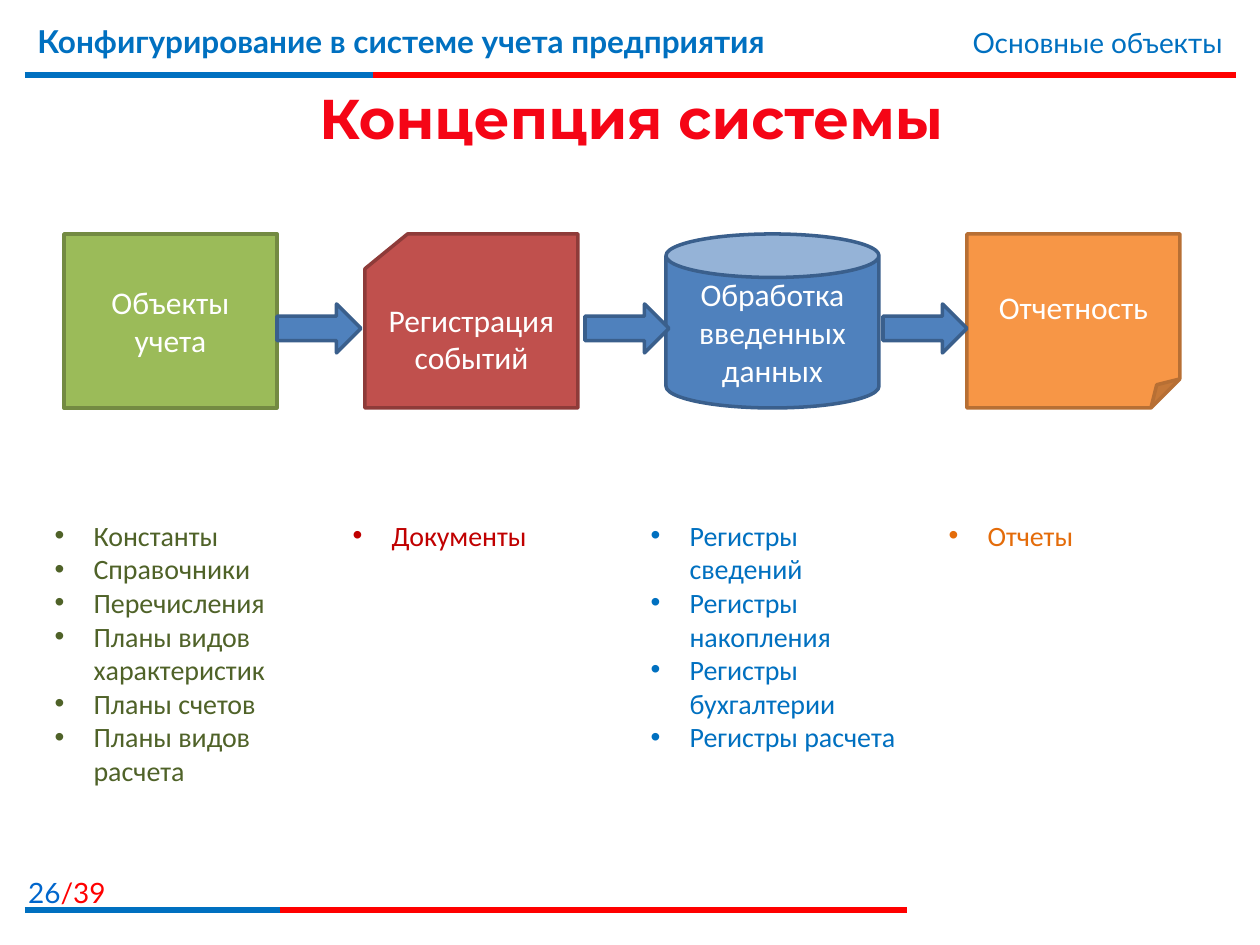
from lxml import etree
from pptx import Presentation, util as u
from pptx.dml.color import RGBColor
from pptx.enum import shapes, text
from pptx.oxml.ns import qn

COLORS = {
    "blue": "0070C0", "page": "0066CC", "red": "FF0000", "title": "F50516", "white": "FFFFFF",
    "green": "9BBB59", "green_edge": "738A42", "green_text": "4F6228",
    "brick": "C0504D", "brick_edge": "8E3B39", "brick_text": "C00000",
    "steel": "4F81BD", "steel_edge": "3A5F8C",
    "orange": "F79646", "orange_edge": "B76F34", "orange_text": "E46C0A",
}
STAGES = [
    ("Объекты учета", shapes.MSO_SHAPE.RECTANGLE, "green", "green_text",
     ["Константы", "Справочники", "Перечисления", "Планы видов характеристик",
      "Планы счетов", "Планы видов расчета"]),
    ("Регистрация событий", shapes.MSO_SHAPE.FLOWCHART_CARD, "brick", "brick_text",
     ["Документы"]),
    ("Обработка введенных данных", shapes.MSO_SHAPE.CAN, "steel", "blue",
     ["Регистры сведений", "Регистры накопления", "Регистры бухгалтерии",
      "Регистры расчета"]),
    ("Отчетность", shapes.MSO_SHAPE.FOLDED_CORNER, "orange", "orange_text", ["Отчеты"]),
]
PX_PER_INCH = 126
ALIGN = text.PP_ALIGN


def px(length):
    return u.Emu(round(length * 914400 / PX_PER_INCH))


def rgb(name):
    return RGBColor.from_string(COLORS[name])


class SlidePainter:
    """Draws styled elements on one slide, measured in px."""

    def __init__(self, slide):
        self.slide = slide
        self.body_font = "Calibri"
        self.header_font = "Lato"
        self.title_font = "Montserrat"

    def style(self, run, font, size, color, bold=False):
        run.font.name = font
        run.font.size = u.Pt(size)
        run.font.bold = bold
        run.font.color.rgb = rgb(color)

    def place(self, holder, box):
        holder.left, holder.top, holder.width, holder.height = map(px, box)
        holder.text_frame.auto_size = text.MSO_AUTO_SIZE.NONE
        holder.text_frame.word_wrap = True

    def title(self, wording, box):
        heading = self.slide.shapes.title
        self.place(heading, box)
        heading.text_frame.text = wording
        heading.text_frame.vertical_anchor = text.MSO_ANCHOR.MIDDLE
        paragraph = heading.text_frame.paragraphs[0]
        paragraph.alignment = ALIGN.CENTER
        self.style(paragraph.runs[0], self.title_font, 32, "title", True)

    def bullets(self, holder, items, box, color):
        self.place(holder, box)
        frame = holder.text_frame
        frame.vertical_anchor = text.MSO_ANCHOR.TOP
        frame.text = "\n".join(items)
        for paragraph in frame.paragraphs:
            paragraph.space_before = u.Pt(0)
            props = paragraph._p.get_or_add_pPr()
            props.set("marL", str(px(39)))
            props.set("indent", str(-px(39)))
            etree.SubElement(props, qn("a:buFont"), typeface="Arial")
            etree.SubElement(props, qn("a:buChar"), char="•")
            self.style(paragraph.runs[0], self.body_font, 16, color)

    def label(self, parts, box, size, align=ALIGN.LEFT, bold=False):
        caption = self.slide.shapes.add_textbox(*map(px, box))
        caption.text_frame.word_wrap = True
        paragraph = caption.text_frame.paragraphs[0]
        paragraph.alignment = align
        for wording, color in parts:
            run = paragraph.add_run()
            run.text = wording
            self.style(run, self.header_font, size, color, bold)

    def rule(self, left, right, y, color):
        line = self.slide.shapes.add_connector(
            shapes.MSO_CONNECTOR.STRAIGHT, px(left), px(y), px(right), px(y))
        line.line.color.rgb = rgb(color)
        line.line.width = u.Pt(3)
        etree.SubElement(line._element.spPr, qn("a:effectLst"))

    def block(self, kind, box, color, wording=""):
        block = self.slide.shapes.add_shape(kind, *map(px, box))
        block.shadow.inherit = False
        block.fill.solid()
        block.fill.fore_color.rgb = rgb(color)
        block.line.color.rgb = rgb(color + "_edge")
        block.line.width = u.Pt(2)
        if wording:
            block.text_frame.text = wording
            block.text_frame.vertical_anchor = text.MSO_ANCHOR.MIDDLE
            paragraph = block.text_frame.paragraphs[0]
            paragraph.alignment = ALIGN.CENTER
            self.style(paragraph.runs[0], self.body_font, 18, "white")


def main():
    deck = Presentation()
    deck.slide_width, deck.slide_height = px(1260), px(945)
    slide = deck.slides.add_slide(deck.slide_layouts.get_by_name("Comparison"))
    painter = SlidePainter(slide)

    for y, split, right in [(75, 373, 1236), (910, 280, 907)]:
        painter.rule(25, right, y, "red")
        painter.rule(25, split, y, "blue")
    painter.label([("Конфигурирование в системе учета предприятия", "blue")],
                  (25, 16, 932, 78), 18, bold=True)
    painter.label([("Основные объекты", "blue")], (748, 19, 487, 47), 16, ALIGN.RIGHT)
    painter.label([("26", "page"), ("/39", "red")], (0, 869, 118, 40), 16, ALIGN.RIGHT)
    painter.title("Концепция системы", (26, 79, 1211, 76))

    list_holders = [holder for holder in slide.placeholders
                    if holder.placeholder_format.idx in range(1, 5)]
    for column, (stage, holder) in enumerate(zip(STAGES, list_holders)):
        name, kind, color, list_color, items = stage
        painter.block(kind, (64 + 301 * column, 234, 213, 174), color, name)
        painter.bullets(holder, items, (42 + 298 * column, 512, 277, 285), list_color)
    for arrow_left in (277, 585, 883):
        painter.block(shapes.MSO_SHAPE.RIGHT_ARROW, (arrow_left, 304, 84, 49), "steel")

    deck.save("out.pptx")


if __name__ == "__main__":
    main()
